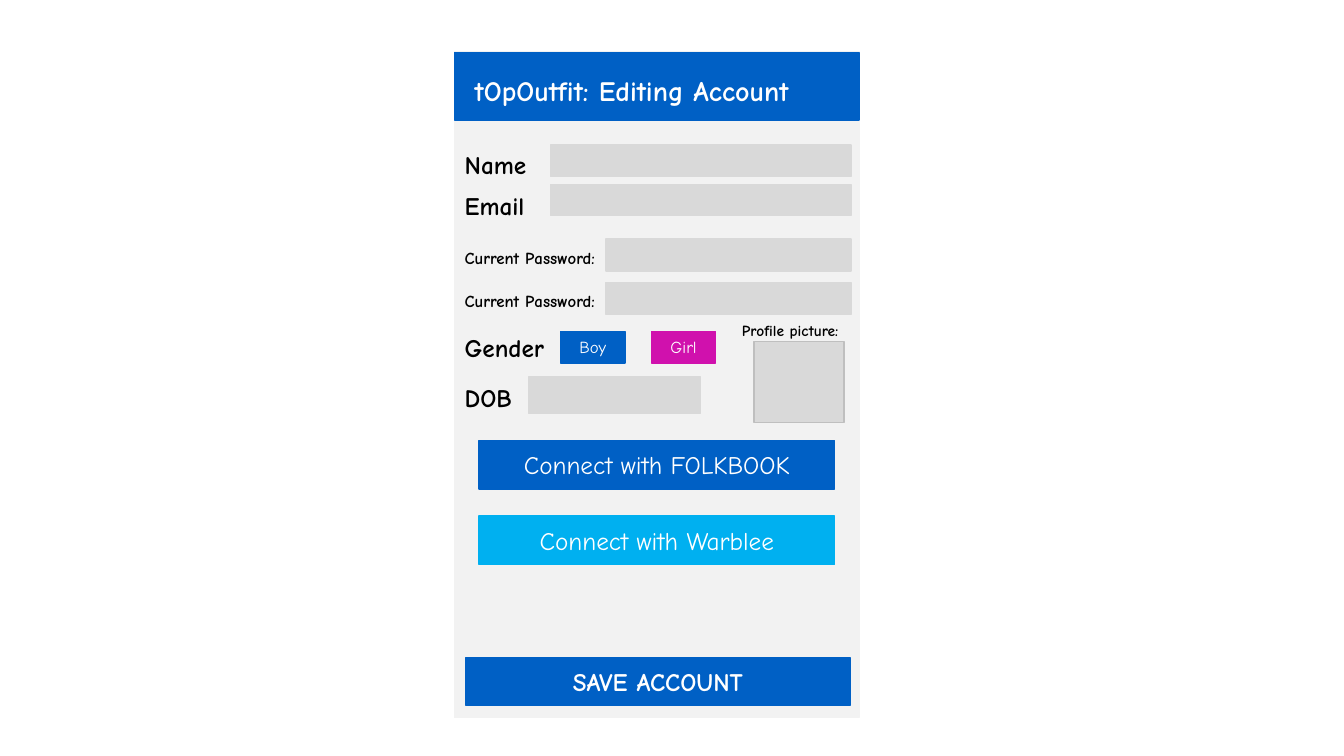
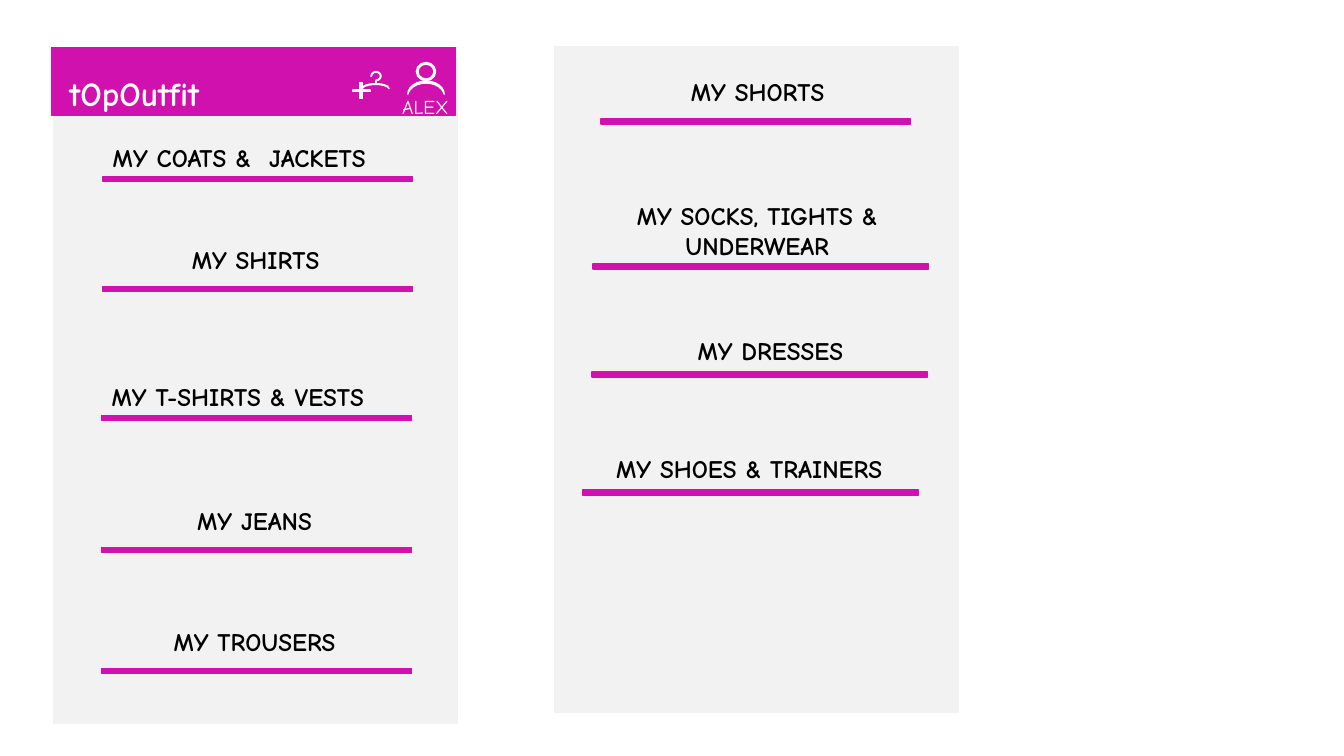
"""Two wireframe slides of a wardrobe app: account editing and clothes menu."""
import dataclasses

import pptx
import pptx.dml.color
import pptx.enum.shapes
import pptx.enum.text
import pptx.oxml.ns
import pptx.util
from lxml import etree

Inches = pptx.util.Inches
SHAPE = pptx.enum.shapes.MSO_SHAPE
LEFT = pptx.enum.text.PP_ALIGN.LEFT
CENTER = pptx.enum.text.PP_ALIGN.CENTER
TOP = pptx.enum.text.MSO_ANCHOR.TOP
MIDDLE = pptx.enum.text.MSO_ANCHOR.MIDDLE


@dataclasses.dataclass(frozen=True)
class Theme:
    """Colours, font, type sizes and shared lengths."""
    blue: str = "0060C5"
    sky: str = "00B0F0"
    pink: str = "D011AD"
    screen: str = "F2F2F2"
    field: str = "D9D9D9"
    field_edge: str = "BFBFBF"
    white: str = "FFFFFF"
    black: str = "000000"
    font: str = "Comic Neue"
    brand: int = 24
    title: int = 20
    body: int = 18
    user: int = 14
    small: int = 12
    caption: int = 11
    line: int = 1
    screen_w: float = 4.01
    screen_h: float = 6.61
    band_h: float = 0.67


THEME = Theme()
APP = "tOpOutfit"


def rgb(colour):
    """Turn a hex string into a colour."""
    return pptx.dml.color.RGBColor.from_string(colour)


def write(tf, text, size, colour, bold, align):
    """Write one paragraph into a text frame."""
    tf.word_wrap = True
    p = tf.paragraphs[0]
    p.alignment = align
    r = p.add_run()
    r.text = text
    r.font.name = THEME.font
    r.font.size = pptx.util.Pt(size)
    r.font.bold = bold
    r.font.color.rgb = rgb(colour)


def add_box(s, x, y, w, h, fill, edge=None, kind=SHAPE.RECTANGLE, adj=(), turn=0):
    """Add a filled preset shape, outlined in its own colour by default."""
    sp = s.shapes.add_shape(kind, Inches(x), Inches(y), Inches(w), Inches(h))
    sp.shadow.inherit = False
    sp.fill.solid()
    sp.fill.fore_color.rgb = rgb(fill)
    sp.line.color.rgb = rgb(edge or fill)
    sp.line.width = pptx.util.Pt(THEME.line)
    sp.rotation = turn
    for i, value in enumerate(adj):
        sp.adjustments[i] = value
    return sp


def add_button(s, x, y, w, h, fill, text, size=THEME.body, bold=False):
    """Add a coloured button with a centred caption."""
    tf = add_box(s, x, y, w, h, fill).text_frame
    tf.vertical_anchor = MIDDLE
    write(tf, text, size, THEME.white, bold, CENTER)


def add_label(s, x, y, w, h, text, size=THEME.body, colour=THEME.black,
              bold=True, align=LEFT, drop=0):
    """Add a text box; drop lowers the text inside it."""
    tf = s.shapes.add_textbox(Inches(x), Inches(y), Inches(w), Inches(h)).text_frame
    tf.vertical_anchor = TOP
    tf.margin_top = Inches(0.05 + drop)
    write(tf, text, size, colour, bold, align)


def add_screen(s, x, y):
    """Add the pale background of one phone screen."""
    add_box(s, x, y, THEME.screen_w, THEME.screen_h, THEME.screen)


def add_band(s, x, y, colour):
    """Add the coloured band at the top of a screen."""
    add_box(s, x, y, THEME.screen_w, THEME.band_h, colour)


def add_stroke(s, x1, y1, x2, y2, colour):
    """Add a straight line without a shadow."""
    line = s.shapes.add_connector(
        pptx.enum.shapes.MSO_CONNECTOR.STRAIGHT,
        Inches(x1), Inches(y1), Inches(x2), Inches(y2))
    line.line.color.rgb = rgb(colour)
    line.line.width = pptx.util.Pt(THEME.line)
    etree.SubElement(line._element.spPr, pptx.oxml.ns.qn("a:effectLst"))


def add_hanger_icon(s):
    """Draw the plus sign and clothes hanger."""
    white = THEME.white
    add_box(s, 3.5, 0.82, 0.17, 0.16, white, kind=SHAPE.CROSS, adj=[0.447])
    add_box(s, 3.7, 0.72, 0.05, 0.27, white, kind=SHAPE.MOON, adj=[0.143], turn=90)
    add_box(s, 3.68, 0.71, 0.1, 0.09, white, kind=SHAPE.BLOCK_ARC,
            adj=[106.678, 54.298, 0.063])
    add_stroke(s, 3.73, 0.8, 3.73, 0.84, white)


def add_user_icon(s, name):
    """Draw the head and shoulders of the user above the name."""
    white = THEME.white
    add_box(s, 4.13, 0.62, 0.19, 0.18, white, kind=SHAPE.DONUT, adj=[0.086])
    add_box(s, 4.16, 0.69, 0.13, 0.36, white, kind=SHAPE.MOON, adj=[0.143], turn=90)
    add_label(s, 3.89, 0.89, 1.02, 0.34, name, THEME.user, white, bold=False)


def add_account_slide(s):
    """Build the form for editing an account."""
    left, right = 4.51, 8.44
    add_screen(s, left, 0.51)
    add_band(s, left, 0.52, THEME.blue)
    add_label(s, 4.61, 0.58, 4.01, 0.57, f"{APP}: Editing Account",
              THEME.title, THEME.white, drop=0.1)

    for text, y, size, h in [
        ("Name", 1.43, THEME.body, 0.4),
        ("Email", 1.84, THEME.body, 0.4),
        ("Current Password:", 2.41, THEME.small, 0.3),
        ("Current Password:", 2.84, THEME.small, 0.3),
        ("Gender", 3.25, THEME.body, 0.4),
        ("DOB", 3.74, THEME.body, 0.4),
    ]:
        add_label(s, left, y, 3.03, h, text, size)
    for y, w, h in [(1.44, 2.98, 0.31), (1.83, 2.98, 0.31),
                    (2.37, 2.43, 0.32), (2.8, 2.43, 0.32)]:
        add_box(s, right - w, y, w, h, THEME.field)
    add_box(s, 5.24, 3.74, 1.71, 0.36, THEME.field)

    for x, fill, text in [(5.56, THEME.blue, "Boy"), (6.46, THEME.pink, "Girl")]:
        add_button(s, x, 3.29, 0.64, 0.31, fill, text, THEME.small)
    add_box(s, 7.48, 3.39, 0.89, 0.8, THEME.field, THEME.field_edge)
    add_label(s, 7.26, 3.14, 3.03, 0.29, "Profile picture:", THEME.caption)

    for y, fill, network in [(4.37, THEME.blue, "FOLKBOOK"),
                             (5.12, THEME.sky, "Warblee")]:
        add_button(s, 4.75, y, 3.53, 0.48, fill, f"Connect with {network}")
    add_button(s, 4.62, 6.52, 3.81, 0.48, THEME.blue, "SAVE ACCOUNT", bold=True)


def add_menu_slide(s):
    """Build the two screens that list the kinds of clothes."""
    add_screen(s, 0.53, 0.57)
    add_band(s, 0.51, 0.47, THEME.pink)
    add_label(s, 0.59, 0.57, 3.01, 0.64, APP, THEME.brand, THEME.white, drop=0.1)
    add_hanger_icon(s)
    add_user_icon(s, "ALEX")

    add_screen(s, 5.5, 0.46)
    for text, x, y, w, h, align, drop, rule_x, rule_y, rule_w in [
        ("MY COATS &  JACKETS", 1.02, 1.28, 3.03, 0.5, LEFT, 0.08, 1.02, 1.75, 3.07),
        ("MY SHIRTS", 1.02, 2.37, 3.03, 0.4, CENTER, 0, 1.02, 2.84, 3.07),
        ("MY T-SHIRTS & VESTS", 1.01, 3.65, 3.03, 0.5, LEFT, 0.08, 1.01, 4.12, 3.07),
        ("MY JEANS", 1.01, 4.96, 3.03, 0.4, CENTER, 0, 1.01, 5.43, 3.07),
        ("MY TROUSERS", 1.01, 6.16, 3.03, 0.4, CENTER, 0, 1.01, 6.63, 3.07),
        ("MY SHORTS", 6, 0.71, 3.03, 0.4, CENTER, 0, 5.96, 1.18, 3.07),
        ("MY SOCKS, TIGHTS & UNDERWEAR", 5.75, 1.94, 3.52, 0.71, CENTER, 0,
         5.88, 2.62, 3.33),
        ("MY DRESSES", 5.88, 3.28, 3.52, 0.4, CENTER, 0, 5.87, 3.69, 3.33),
        ("MY SHOES & TRAINERS", 5.67, 4.45, 3.52, 0.4, CENTER, 0, 5.78, 4.86, 3.33),
    ]:
        add_label(s, x, y, w, h, text, align=align, drop=drop)
        add_box(s, rule_x, rule_y, rule_w, 0.05, THEME.pink)


def main():
    """Build and save the presentation."""
    prs = pptx.Presentation()
    prs.slide_width, prs.slide_height = Inches(13.33), Inches(7.5)
    blank = prs.slide_layouts[6]
    for build in (add_account_slide, add_menu_slide):
        build(prs.slides.add_slide(blank))
    prs.save("out.pptx")


main()
